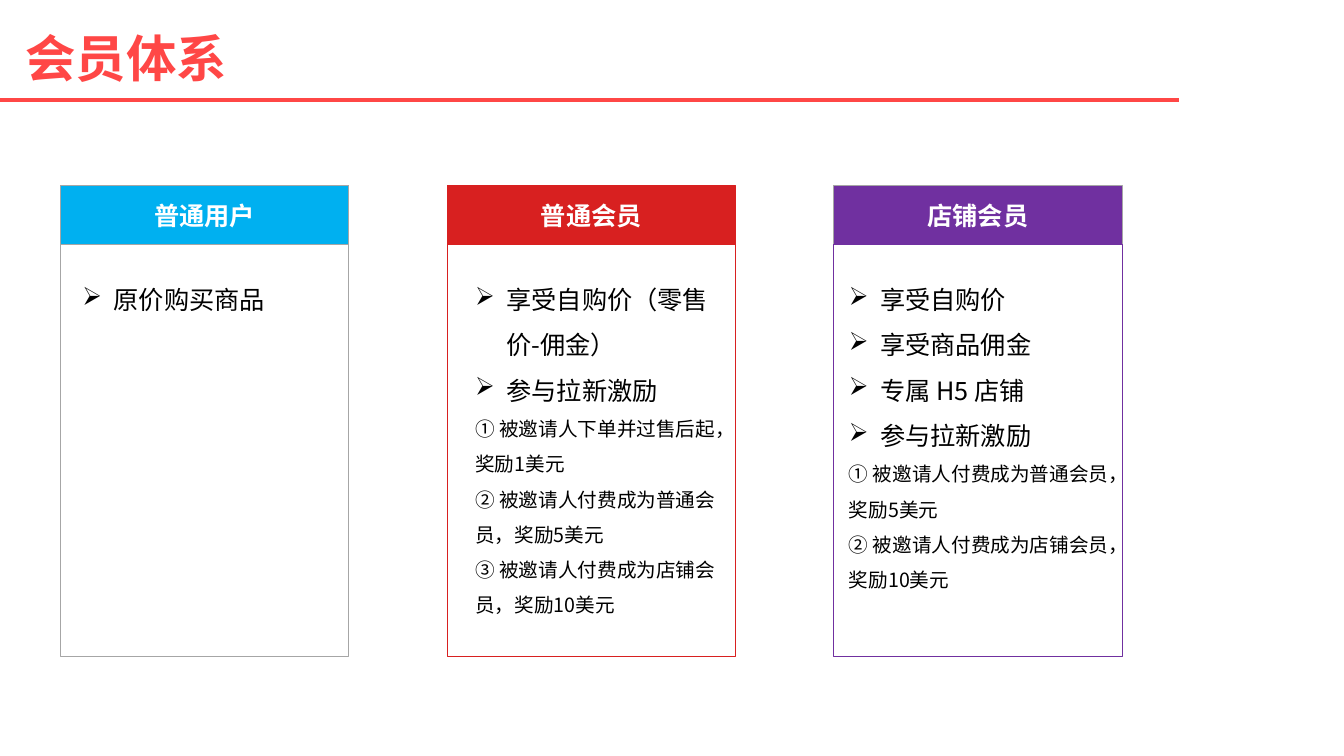
from lxml.etree import SubElement
from pptx import Presentation
from pptx.dml.color import RGBColor
from pptx.enum.shapes import MSO_CONNECTOR as CONNECTOR, MSO_SHAPE as SHAPE
from pptx.enum.text import MSO_ANCHOR as ANCHOR, MSO_AUTO_SIZE as AUTO_SIZE, PP_ALIGN as ALIGN
from pptx.oxml.ns import qn
from pptx.util import Inches, Pt

FONT = "Noto Sans CJK SC"
CORAL = RGBColor(0xFF, 0x47, 0x46)
BLUE = RGBColor(0x00, 0xB0, 0xF0)
RED = RGBColor(0xD8, 0x20, 0x20)
PURPLE = RGBColor(0x70, 0x30, 0xA0)
GRAY = RGBColor(0xA6, 0xA6, 0xA6)
WHITE = RGBColor(0xFF, 0xFF, 0xFF)
BLACK = RGBColor(0x00, 0x00, 0x00)

# Card grid, in inches
CARD_LEFT, CARD_TOP, CARD_PITCH = 0.6, 1.84, 3.835
CARD_WIDTH, HEADER_HEIGHT, BODY_HEIGHT = 2.86, 0.59, 4.08
BENEFITS_GAP = 0.19
BULLET_INDENT = Inches(0.31)

# Heading, header fill, header line, body line, text inset, text size, benefits, rewards
TIERS = [
    ("普通用户", BLUE, GRAY, GRAY, 0.12, (2.73, 0.5), ["原价购买商品"], []),
    ("普通会员", RED, RED, RED, 0.18, (2.73, 4.79),
     ["享受自购价（零售价-佣金）", "参与拉新激励"],
     ["① 被邀请人下单并过售后起，奖励1美元",
      "② 被邀请人付费成为普通会员，奖励5美元",
      "③ 被邀请人付费成为店铺会员，奖励10美元"]),
    ("店铺会员", PURPLE, GRAY, PURPLE, 0.05, (2.81, 4.19),
     ["享受自购价", "享受商品佣金", "专属 H5 店铺", "参与拉新激励"],
     ["① 被邀请人付费成为普通会员，奖励5美元",
      "② 被邀请人付费成为店铺会员，奖励10美元"]),
]


def style_runs(paragraph, size, color, bold=False):
    for run in paragraph.runs:
        run.font.size = Pt(size)
        run.font.bold = bold
        run.font.color.rgb = color
        run.font.name = FONT
        SubElement(run.font._element, qn("a:ea"), typeface=FONT)


def add_bullet(paragraph):
    properties = paragraph._p.get_or_add_pPr()
    properties.set("marL", str(BULLET_INDENT))
    properties.set("indent", str(-BULLET_INDENT))
    SubElement(properties, qn("a:buFont"), typeface="Wingdings")
    SubElement(properties, qn("a:buChar"), char="Ø")


def add_panel(slide, left, top, width, height, line_color, fill_color=None):
    panel = slide.shapes.add_shape(
        SHAPE.RECTANGLE, Inches(left), Inches(top), Inches(width), Inches(height))
    panel.shadow.inherit = False
    if fill_color is None:
        panel.fill.background()
    else:
        panel.fill.solid()
        panel.fill.fore_color.rgb = fill_color
    panel.line.color.rgb = line_color
    panel.line.width = Pt(0.75)
    return panel


def add_heading(slide, left, top, width, height):
    """Title with the rule beneath it."""
    rule_y = Inches(0.99)
    rule = slide.shapes.add_connector(CONNECTOR.STRAIGHT, 0, rule_y, Inches(11.69), rule_y)
    rule.line.color.rgb = CORAL
    rule.line.width = Pt(3)
    SubElement(rule._element.spPr, qn("a:effectLst"))

    title = slide.shapes.title
    title.left, title.top = Inches(left), Inches(top)
    title.width, title.height = Inches(width), Inches(height)
    frame = title.text_frame
    frame.text = "会员体系"
    frame.auto_size = AUTO_SIZE.NONE
    frame.vertical_anchor = ANCHOR.MIDDLE
    heading = frame.paragraphs[0]
    heading.alignment = ALIGN.LEFT
    heading.line_spacing = 0.9
    style_runs(heading, 36, CORAL, bold=True)


def add_benefits(slide, left, top, width, height, benefits, rewards):
    """Bulleted benefits followed by the smaller reward rules."""
    box = slide.shapes.add_textbox(Inches(left), Inches(top), Inches(width), Inches(height))
    frame = box.text_frame
    frame.word_wrap = True
    frame.auto_size = AUTO_SIZE.SHAPE_TO_FIT_TEXT
    frame.text = "\n".join(benefits + rewards)
    for index, paragraph in enumerate(frame.paragraphs):
        paragraph.line_spacing = 1.5
        is_benefit = index < len(benefits)
        if is_benefit:
            add_bullet(paragraph)
        style_runs(paragraph, 18 if is_benefit else 14, BLACK)


def add_tier(slide, left, top, tier):
    """One membership card: coloured header, outlined body and its text."""
    name, fill, header_line, body_line, inset, text_size, benefits, rewards = tier
    header = add_panel(slide, left, top, CARD_WIDTH, HEADER_HEIGHT, header_line, fill)
    header.text_frame.text = name
    header.text_frame.vertical_anchor = ANCHOR.MIDDLE
    label = header.text_frame.paragraphs[0]
    label.alignment = ALIGN.CENTER
    style_runs(label, 18, WHITE, bold=True)

    body_top = top + HEADER_HEIGHT
    add_panel(slide, left, body_top, CARD_WIDTH, BODY_HEIGHT, body_line)
    add_benefits(slide, left + inset, body_top + BENEFITS_GAP, *text_size, benefits, rewards)


def main():
    deck = Presentation()
    deck.slide_width, deck.slide_height = Inches(13.33), Inches(7.5)
    slide = deck.slides.add_slide(deck.slide_layouts[5])
    add_heading(slide, 0.15, 0.28, 6.32, 0.65)
    for column, tier in enumerate(TIERS):
        add_tier(slide, CARD_LEFT + column * CARD_PITCH, CARD_TOP, tier)
    deck.save("out.pptx")


if __name__ == "__main__":
    main()
